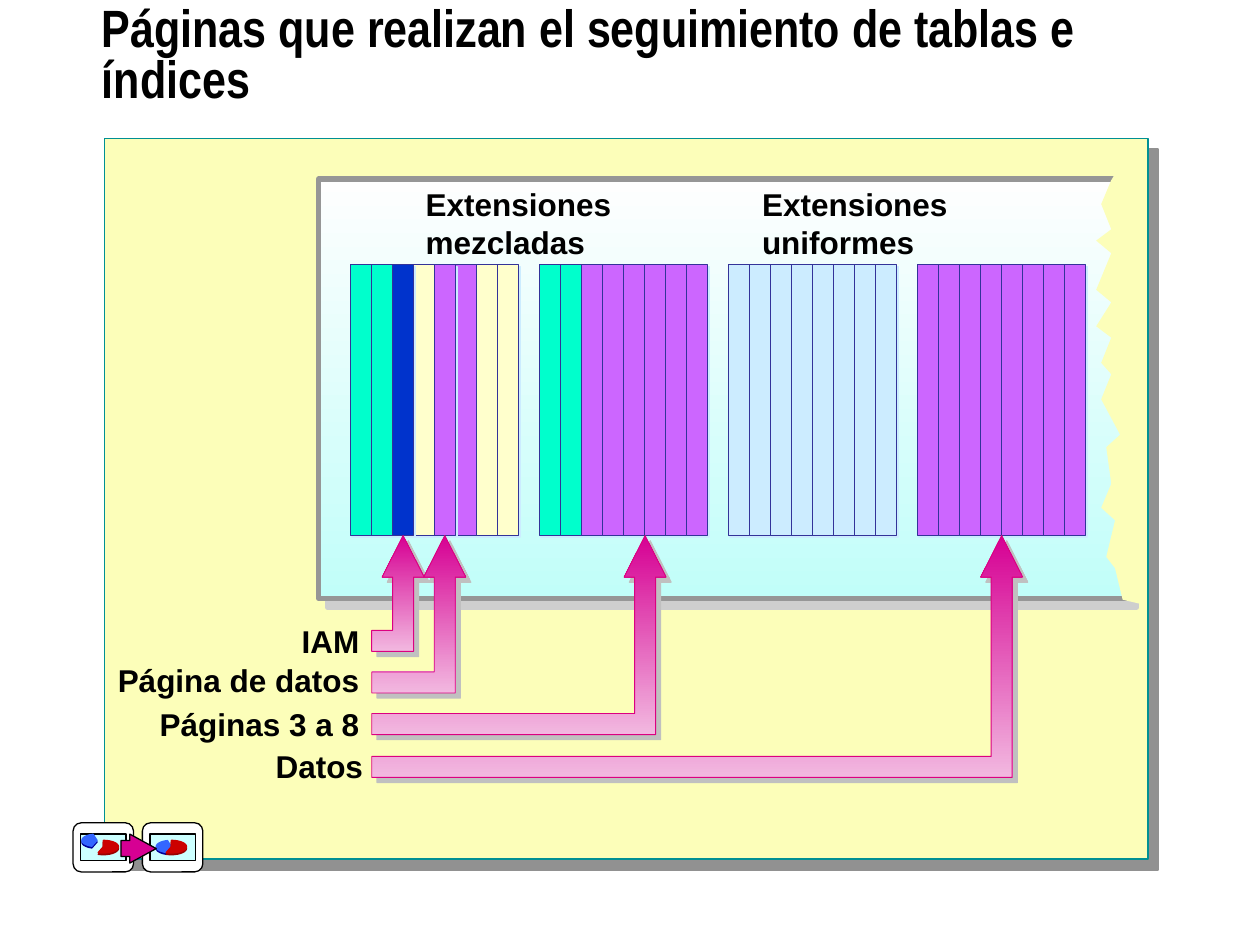
import math
from dataclasses import dataclass

import pptx
import pptx.dml.color
import pptx.enum.shapes
import pptx.enum.text
import pptx.oxml
import pptx.oxml.ns
import pptx.util
from pptx.util import Inches

SHAPE = pptx.enum.shapes.MSO_SHAPE
ALIGN = pptx.enum.text.PP_ALIGN
COLORS = {
    "black": "000000", "white": "FFFFFF", "cream": "FCFEB9", "teal_line": "009094",
    "frame_shadow": "919191", "panel_top": "FEFEFE", "panel_bottom": "C1FEF9",
    "panel_line": "969696", "panel_shadow": "CECECE", "page_line": "333399",
    "sky": "CCECFF", "mint": "00FFCC", "navy": "0033CC", "straw": "FFFFCC",
    "violet": "CC66FF", "magenta": "D60093", "pink": "F2B8E0", "arrow_line": "DC0081",
    "arrow_shadow": "C0C0C0", "icon_screen": "CCFFFF", "blue": "3366FF",
    "blue_shadow": "000099", "red": "CC0000", "red_shadow": "990000",
}
PAGE_WIDTH = 1 / 6
PAGE_TOP, PAGE_HEIGHT = 2.1, 2.15
EXTENT_LEFT, EXTENT_STEP = 2.78, 1.5


@dataclass
class Shadow:
    color: str
    distance: float
    angle: int = 45


@dataclass
class Style:
    fill: str
    line: str | None = None
    line_width: float = 0.75
    shadow: Shadow | None = None
    fill_end: str | None = None


@dataclass
class Label:
    text: str
    left: float
    top: float
    width: float
    height: float = 0.4
    size: int = 18
    font: str = "Arial"
    alignment: ALIGN = ALIGN.LEFT
    wrap: bool = True


@dataclass
class Pointer:
    text: str
    label_top: float
    label_right: float
    tip: float
    base: float


PAGE_SHADOW = Shadow("sky", 1.4)
FRAME = Style("cream", "teal_line", 1, Shadow("frame_shadow", 8.5))
PANEL = Style("panel_top", "panel_line", 3, Shadow("panel_shadow", 7.1), "panel_bottom")
ARROW = Style("magenta", "arrow_line", 0.5, Shadow("arrow_shadow", 4.2), "pink")
ICON_CARD = Style("white", "black")
ICON_SCREEN = Style("icon_screen", "black")
BLUE_SLICE = Style("blue", "blue", shadow=Shadow("blue_shadow", 1, 90))
RED_SLICE = Style("red", "red", shadow=Shadow("red_shadow", 1, 90))

EXTENTS = [
    ["mint", "mint", "navy", "straw", "violet", "violet", "straw", "straw"],
    ["mint"] * 2 + ["violet"] * 6,
    ["sky"] * 8,
    ["violet"] * 8,
]
RAISED_PAGES = [(0, 2), (0, 4)]

TORN_EDGE = [
    (8.74, 1.14), (9.08, 1.14), (9.08, 4.8), (8.91, 4.76), (8.85, 4.51), (8.78, 4.42),
    (8.85, 4.13), (8.74, 4.03), (8.82, 3.84), (8.78, 3.55), (8.89, 3.45), (8.74, 3.17),
    (8.82, 2.97), (8.74, 2.88), (8.82, 2.68), (8.7, 2.59), (8.82, 2.4), (8.7, 2.3),
    (8.82, 2.01), (8.7, 1.91), (8.82, 1.82), (8.74, 1.62), (8.82, 1.43), (8.93, 1.25),
]
LABELS = [
    Label("Páginas que realizan el seguimiento de tablas e índices",
          0.71, 0, 8.96, 0.92, 30, "Arial Narrow"),
    Label("Extensiones mezcladas", 3.28, 1.42, 2, 0.7),
    Label("Extensiones uniformes", 5.95, 1.42, 2.5, 0.7),
]
POINTERS = [
    Pointer("Datos", 5.88, 2.98, 7.95, 6.17),
    Pointer("Páginas 3 a 8", 5.55, 2.95, 5.12, 5.83),
    Pointer("IAM", 4.89, 2.95, 3.2, 5.17),
    Pointer("Página de datos", 5.2, 2.95, 3.53, 5.5),
]


def rgb(name: str) -> pptx.dml.color.RGBColor:
    return pptx.dml.color.RGBColor.from_string(COLORS[name])


def add_shadow(shape, shadow: Shadow) -> None:
    effects = shape._element.spPr.find(pptx.oxml.ns.qn("a:effectLst"))
    effects.append(pptx.oxml.parse_xml(
        f'<a:outerShdw {pptx.oxml.ns.nsdecls("a")} dist="{pptx.util.Pt(shadow.distance)}" '
        f'dir="{shadow.angle * 60000}" algn="ctr" rotWithShape="0">'
        f'<a:srgbClr val="{COLORS[shadow.color]}"/></a:outerShdw>'))


def apply_style(shape, style: Style) -> None:
    if style.fill_end:
        shape.fill.gradient()
        shape.fill.gradient_angle = 270
        for stop, color in zip(shape.fill.gradient_stops, (style.fill, style.fill_end)):
            stop.color.rgb = rgb(color)
    else:
        shape.fill.solid()
        shape.fill.fore_color.rgb = rgb(style.fill)
    if style.line:
        shape.line.color.rgb = rgb(style.line)
        shape.line.width = pptx.util.Pt(style.line_width)
    else:
        shape.line.fill.background()
    shape.shadow.inherit = False
    if style.shadow:
        add_shadow(shape, style.shadow)


def add_box(slide, left: float, top: float, width: float, height: float,
            style: Style, kind=SHAPE.RECTANGLE):
    shape = slide.shapes.add_shape(
        kind, Inches(left), Inches(top), Inches(width), Inches(height))
    apply_style(shape, style)
    return shape


def add_outline(slide, points: list[tuple[float, float]], style: Style) -> None:
    corners = [(Inches(x), Inches(y)) for x, y in points]
    builder = slide.shapes.build_freeform(*corners[0])
    builder.add_line_segments(corners[1:], close=True)
    apply_style(builder.convert_to_shape(), style)


def add_label(slide, label: Label):
    box = slide.shapes.add_textbox(Inches(label.left), Inches(label.top),
                                   Inches(label.width), Inches(label.height))
    box.text_frame.word_wrap = label.wrap
    paragraph = box.text_frame.paragraphs[0]
    paragraph.alignment = label.alignment
    run = paragraph.add_run()
    run.text = label.text
    run.font.name = label.font
    run.font.size = pptx.util.Pt(label.size)
    run.font.bold = True
    run.font.color.rgb = rgb("black")
    return box


def add_page(slide, extent: int, position: int) -> None:
    left = EXTENT_LEFT + extent * EXTENT_STEP + position * PAGE_WIDTH
    style = Style(EXTENTS[extent][position], "page_line", shadow=PAGE_SHADOW)
    add_box(slide, left, PAGE_TOP, PAGE_WIDTH, PAGE_HEIGHT, style)


def add_pointer(slide, pointer: Pointer) -> None:
    """Draw the label and the elbow arrow that rises from it to a page."""
    width = 0.3 + 0.13 * len(pointer.text)
    add_label(slide, Label(pointer.text, pointer.label_right - width, pointer.label_top,
                           width, alignment=ALIGN.RIGHT, wrap=False))
    start, tip, base = 2.95, pointer.tip, pointer.base
    point, neck, half = PAGE_TOP + PAGE_HEIGHT, 4.58, PAGE_WIDTH / 2
    add_outline(slide, [
        (start, base - 2 * half), (tip - half, base - 2 * half), (tip - half, neck),
        (tip - 2 * half, neck), (tip, point), (tip + 2 * half, neck),
        (tip + half, neck), (tip + half, base), (start, base)], ARROW)


def add_slice(slide, x: float, y: float, first: int, last: int, style: Style) -> None:
    """Draw a slice of a flat ellipse between two angles, clockwise from the right."""
    angles = [math.radians(angle) for angle in range(first, last + 1, 5)]
    arc = [(x + 0.12 * math.cos(a), y + 0.05 * math.sin(a)) for a in angles]
    add_outline(slide, [(x, y)] + arc, style)


def add_icon(slide) -> None:
    slices = [(0.58, (0.77, 6.67), (0.82, 6.72)), (1.13, (1.36, 6.72), (1.36, 6.72))]
    for left, blue_center, red_center in slices:
        add_box(slide, left, 6.53, 0.48, 0.39, ICON_CARD, SHAPE.ROUNDED_RECTANGLE)
        add_box(slide, left + 0.06, 6.62, 0.36, 0.21, ICON_SCREEN)
        add_slice(slide, *blue_center, 110, 255, BLUE_SLICE)
        add_slice(slide, *red_center, 270, 470, RED_SLICE)
    arrow = add_box(slide, 0.96, 6.62, 0.28, 0.23, Style("magenta", "black"),
                    SHAPE.RIGHT_ARROW)
    arrow.adjustments[0], arrow.adjustments[1] = 0.55, 0.91


def main() -> None:
    presentation = pptx.Presentation()
    presentation.slide_width, presentation.slide_height = Inches(10), Inches(7.5)
    slide = presentation.slides.add_slide(presentation.slide_layouts[6])
    add_box(slide, 0.83, 1.1, 8.28, 5.72, FRAME)
    add_box(slide, 2.53, 1.42, 6.42, 3.33, PANEL)
    add_outline(slide, TORN_EDGE, Style("cream"))
    title, *_ = [add_label(slide, label) for label in LABELS]
    title.text_frame.vertical_anchor = pptx.enum.text.MSO_ANCHOR.MIDDLE
    title.text_frame.paragraphs[0].line_spacing = 0.8
    pages = [(extent, position) for extent in range(4) for position in range(8)]
    for page in sorted(pages, key=lambda page: page in RAISED_PAGES):
        add_page(slide, *page)
    for pointer in POINTERS:
        add_pointer(slide, pointer)
    add_icon(slide)
    presentation.save("out.pptx")


if __name__ == "__main__":
    main()
